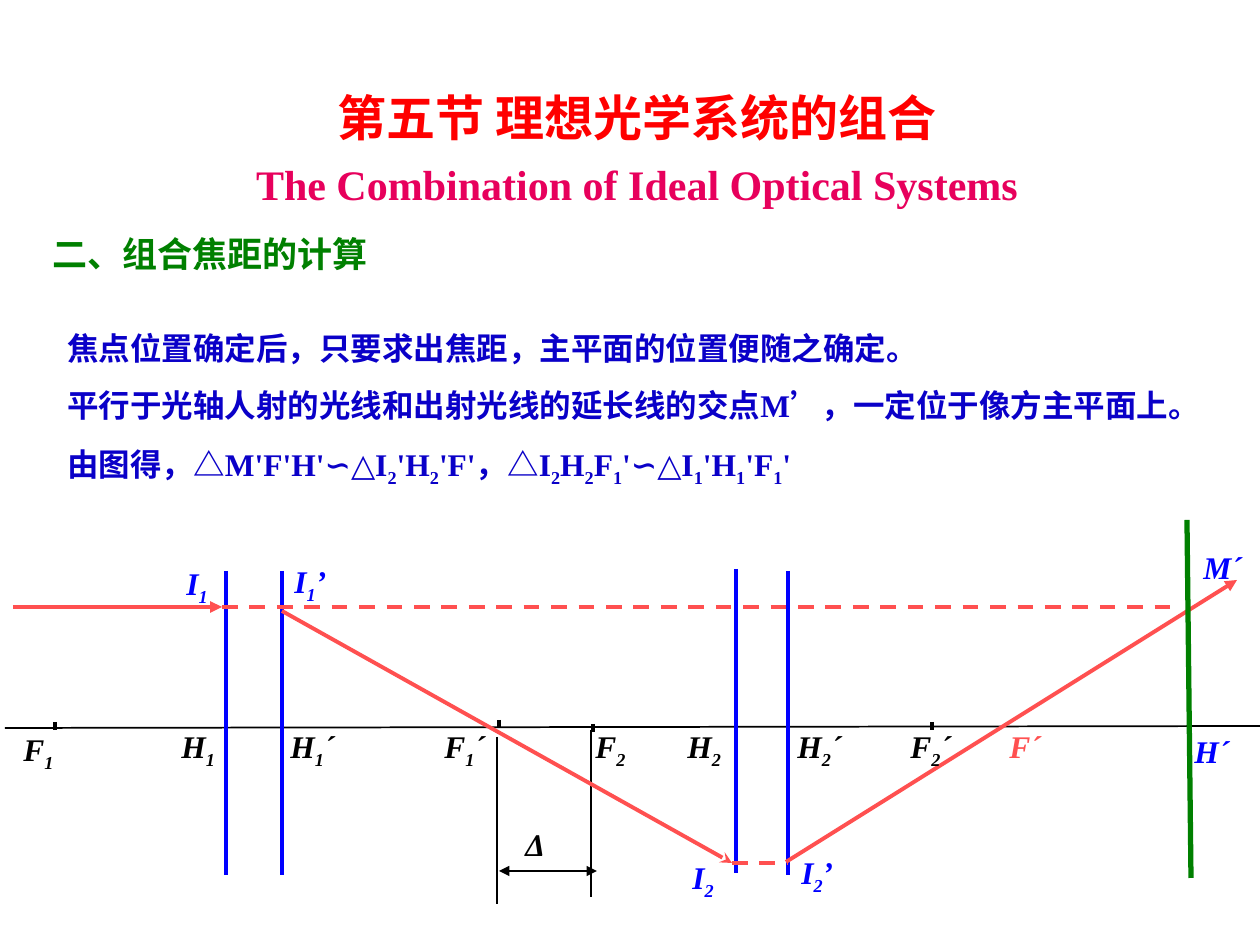
from dataclasses import dataclass

from lxml import etree
from pptx import Presentation
from pptx import util as u
from pptx.dml.color import RGBColor
from pptx.enum import dml, shapes, text
from pptx.oxml.ns import qn

PX = u.Inches(1) / 126
LATIN, CJK = "Times New Roman", "Noto Sans CJK SC"
COLORS = {
    "black": "000000", "plane": "0000FF", "ray": "FF5050", "green": "008000",
    "title": "FF0000", "subtitle": "E7005C", "body": "0A00C8",
}


@dataclass
class Line:
    x1: int
    y1: int
    x2: int
    y2: int
    color: str = "black"
    width: float = 2.25
    dashed: bool = False
    head: str = ""
    tail: str = ""


@dataclass
class Label:
    text: str
    x: int
    y: int
    w: int = 108
    color: str = "black"
    wrap: bool = True


def px(n: int) -> int:
    return round(n * PX)


def rgb(name: str) -> RGBColor:
    return RGBColor.from_string(COLORS[name])


def add_run(p, content: str, *, size: int, color: str, font: str,
            italic: bool, subscript: bool) -> None:
    r = p.add_run()
    r.text = content
    r.font.size, r.font.bold, r.font.italic = u.Pt(size), True, italic
    r.font.color.rgb = rgb(color)
    r.font.name = font
    props = r.font._element
    etree.SubElement(props, qn("a:ea"), typeface=CJK)
    if subscript:
        props.set("baseline", "-25000")


def add_paragraph(p, content: str, *, size: int = 18, color: str = "black",
                  font: str = LATIN, italic: bool = False,
                  spacing: float | None = None, align=None) -> None:
    """Fill a paragraph; the character after each "_" is a subscript."""
    p.alignment = align
    if spacing:
        p.line_spacing = spacing
    first, *rest = content.split("_")
    pieces = [(first, False)]
    for part in rest:
        pieces += [(part[0], True), (part[1:], False)]
    for piece, subscript in pieces:
        if piece:
            add_run(p, piece, size=size, color=color, font=font,
                    italic=italic, subscript=subscript)


def add_text(s, box: tuple[int, int, int, int], lines: list[tuple[str, dict]],
             *, wrap: bool = True, middle: bool = False, **fmt) -> None:
    """Add a text box; each line may override the shared format."""
    tf = s.shapes.add_textbox(*map(px, box)).text_frame
    tf.word_wrap = wrap
    if middle:
        tf.vertical_anchor = text.MSO_ANCHOR.MIDDLE
    else:
        tf.auto_size = text.MSO_AUTO_SIZE.SHAPE_TO_FIT_TEXT
    for i, (content, own) in enumerate(lines):
        p = tf.add_paragraph() if i else tf.paragraphs[0]
        add_paragraph(p, content, **{**fmt, **own})


def add_line(s, ln: Line) -> None:
    c = s.shapes.add_connector(shapes.MSO_CONNECTOR.STRAIGHT,
                               *map(px, (ln.x1, ln.y1, ln.x2, ln.y2)))
    c.line.color.rgb = rgb(ln.color)
    c.line.width = u.Pt(ln.width)
    if ln.dashed:
        c.line.dash_style = dml.MSO_LINE.DASH
    sp_pr = c._element.spPr
    for tag, kind in (("a:headEnd", ln.head), ("a:tailEnd", ln.tail)):
        if kind:
            etree.SubElement(sp_pr.find(qn("a:ln")), qn(tag), type=kind)
    etree.SubElement(sp_pr, qn("a:effectLst"))


def add_label(s, lb: Label) -> None:
    add_text(s, (lb.x, lb.y, lb.w, 50), [(lb.text, {})],
             color=lb.color, italic=True, wrap=lb.wrap)


AXIS = Line(5, 728, 1270, 726, width=1)
PLANES = [Line(x, top, x, top + 304, "plane")
          for x, top in ((226, 571), (282, 571), (736, 569), (788, 571))]
TICKS = [Line(x, top, x, top + 8)
         for x, top in ((55, 722), (499, 720), (593, 724), (932, 722))]
INTERVAL = [Line(x, top, x, top + 167, width=1)
            for x, top in ((497, 737), (591, 730))]
INTERVAL.append(Line(499, 871, 597, 871, width=1,
                     head="triangle", tail="triangle"))
RAYS = [
    Line(13, 607, 222, 607, "ray", tail="triangle"),
    Line(282, 611, 732, 863, "ray", tail="stealth"),
    Line(732, 863, 788, 863, "ray", dashed=True),
    Line(786, 862, 1237, 580, "ray", tail="triangle"),
    Line(222, 607, 1182, 607, "ray", dashed=True),
]
IMAGE_PLANE = Line(1187, 520, 1191, 878, "green", 3)

AXIS_LABELS = [Label(name, x, 721) for name, x in (
    ("H_1", 169), ("H_1ˊ", 278), ("H_2ˊ", 785), ("H_2", 675),
    ("F_1ˊ", 432), ("F_2", 583), ("F_2ˊ", 898))]
LABELS = AXIS_LABELS + [
    Label("F_1", 11, 724),
    Label("Δ", 513, 819, 45, wrap=False),
    Label("Fˊ", 997, 721, 78, "ray"),
    Label("Hˊ", 1182, 726, 142, "plane"),
    Label("Mˊ", 1191, 542, 129, "plane"),
    Label("I_1", 174, 558, 105, "plane"),
    Label("I_1’", 282, 556, 105, "plane"),
    Label("I_2’", 789, 847, 139, "plane"),
    Label("I_2", 680, 852, 139, "plane"),
]
BODY = [
    "焦点位置确定后，只要求出焦距，主平面的位置便随之确定。",
    "平行于光轴人射的光线和出射光线的延长线的交点M’，一定位于像方主平面上。",
    "由图得，△M'F'H'∽△I_2'H_2'F'，△I_2H_2F_1'∽△I_1'H_1'F_1'",
]


def main() -> None:
    prs = Presentation()
    prs.slide_width, prs.slide_height = px(1260), px(945)
    s = prs.slides.add_slide(prs.slide_layouts[6])

    add_text(s, (40, 226, 586, 55), [("二、组合焦距的计算", {})],
             size=20, color="green", font=CJK)
    add_text(s, (102, 102, 1070, 78), [
        ("第五节 理想光学系统的组合", {"size": 28, "color": "title"}),
        ("The Combination of Ideal Optical Systems",
         {"size": 24, "color": "subtitle"}),
    ], middle=True, spacing=1.25, align=text.PP_ALIGN.CENTER)
    add_text(s, (55, 304, 1142, 184), [(line, {}) for line in BODY],
             color="body", spacing=1.5)

    for ln in [AXIS, *PLANES, *TICKS, *INTERVAL, *RAYS, IMAGE_PLANE]:
        add_line(s, ln)
    for lb in LABELS:
        add_label(s, lb)
    prs.save("out.pptx")


if __name__ == "__main__":
    main()
